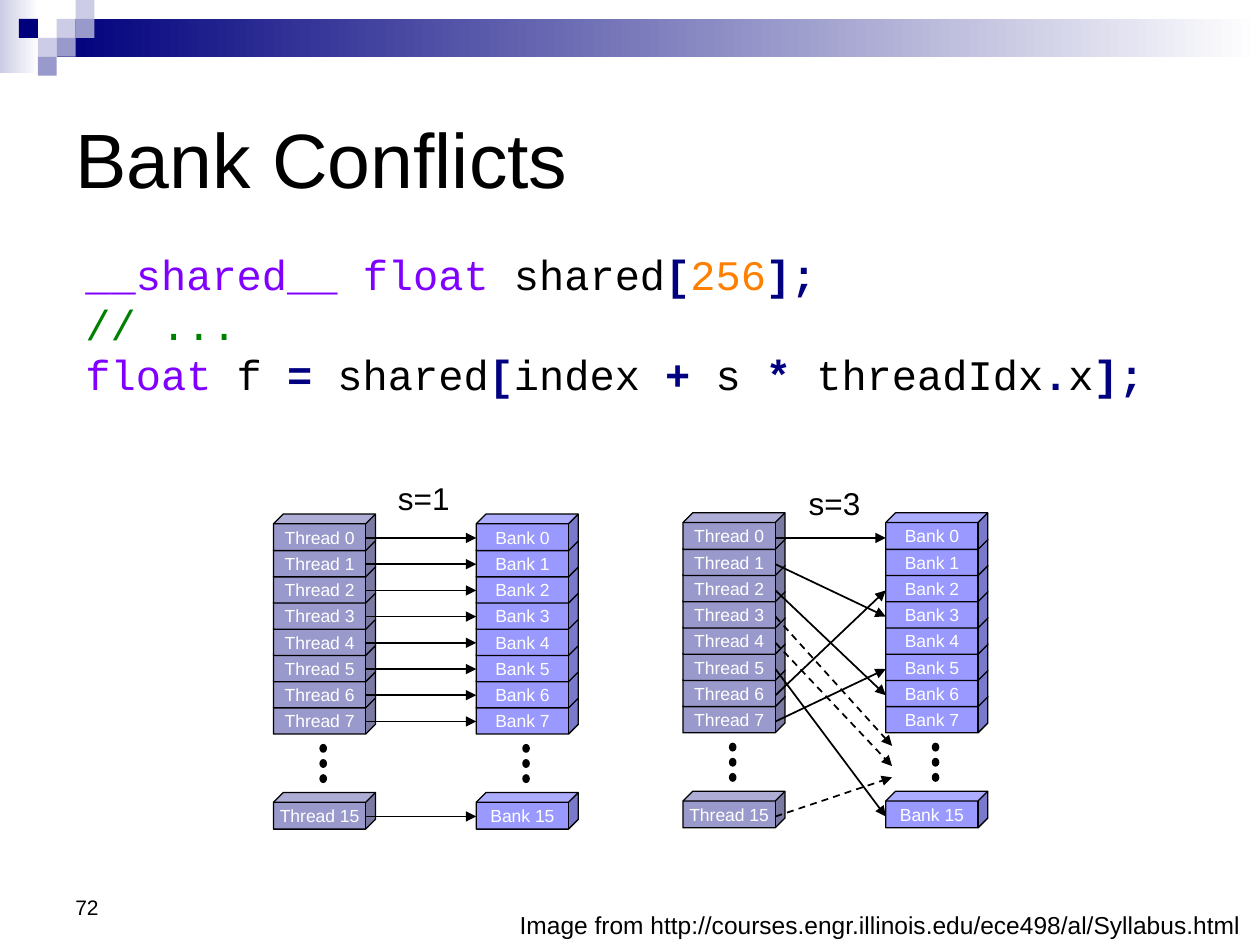
"""Build the Bank Conflicts slide with two thread-to-bank access diagrams."""
from dataclasses import dataclass
from typing import Optional

from lxml.etree import SubElement
from pptx import Presentation
from pptx.dml.color import RGBColor
from pptx.enum.dml import MSO_LINE
from pptx.enum.shapes import MSO_CONNECTOR, MSO_SHAPE
from pptx.enum.text import MSO_ANCHOR, MSO_AUTO_SIZE, PP_ALIGN
from pptx.oxml.ns import qn
from pptx.util import Inches, Pt

COLORS = {
    "black": "000000", "white": "FFFFFF", "navy": "00007D", "lilac": "CCCCE6",
    "thread": "9999CC", "bank": "9999FF", "keyword": "8000FF",
    "operator": "000080", "number": "FF8000", "comment": "008000",
}
CODE = [
    [("__shared__ float", "keyword"), (" shared", "black"), ("[", "operator"),
     ("256", "number"), ("];", "operator")],
    [("// ...", "comment")],
    [("float", "keyword"), (" f ", "black"), ("=", "operator"), (" shared", "black"),
     ("[", "operator"), ("index ", "black"), ("+", "operator"), (" s ", "black"),
     ("*", "operator"), (" threadIdx", "black"), (".", "operator"), ("x", "black"),
     ("];", "operator")],
]
BANKS = 16
ROWS = [*range(8), 15]
ROW_PITCH = 0.208
CUBE_WIDTH, CUBE_HEIGHT = 0.81, 0.29
BANK_OFFSET = 1.61
ARROW_OFFSET = 0.735
ARROW_TOP = 4.27
HIDDEN_BANKS = {9: 5.92, 12: 6.08, 13: 6.17}
CELL = 0.15


@dataclass
class Panel:
    stride: int
    left: float
    top: float
    label_left: float
    label_top: float


@dataclass
class Tile:
    column: int
    row: int
    color: str


PANELS = [Panel(1, 2.17, 4.08, 3.06, 3.75), Panel(3, 5.42, 4.07, 6.32, 3.79)]
TILES = [
    Tile(3, 1, "lilac"), Tile(4, 0, "lilac"), Tile(4, 1, "thread"),
    Tile(2, 2, "lilac"), Tile(1, 1, "navy"), Tile(3, 2, "thread"),
    Tile(2, 3, "thread"),
]

deck = Presentation()
deck.slide_width, deck.slide_height = Inches(10), Inches(7.5)
slide = deck.slides.add_slide(deck.slide_layouts[5])


def rgb(name: str) -> RGBColor:
    return RGBColor.from_string(COLORS[name])


def write(frame, lines: list, size: float, font: str = "Arial",
          align=PP_ALIGN.LEFT, anchor=MSO_ANCHOR.TOP, wrap: bool = True) -> None:
    frame.word_wrap = wrap
    frame.auto_size = MSO_AUTO_SIZE.NONE
    frame.vertical_anchor = anchor
    for index, line in enumerate(lines):
        paragraph = frame.add_paragraph() if index else frame.paragraphs[0]
        paragraph.alignment = align
        for words, color in line:
            run = paragraph.add_run()
            run.text = words
            run.font.name, run.font.size = font, Pt(size)
            run.font.bold = color == "operator"
            run.font.color.rgb = rgb(color)


def add_text(left: float, top: float, width: float, height: float,
             lines: list, size: float, **style) -> None:
    box = slide.shapes.add_textbox(*map(Inches, (left, top, width, height)))
    write(box.text_frame, lines, size, **style)


def add_block(kind, left: float, top: float, width: float, height: float,
              color: str, outlined: bool = False, fade: bool = False):
    block = slide.shapes.add_shape(kind, *map(Inches, (left, top, width, height)))
    block.shadow.inherit = False
    if fade:
        block.fill.gradient()
        block.fill.gradient_angle = 0
        for stop, name, place in zip(block.fill.gradient_stops, (color, "white"), (0, 1)):
            stop.color.rgb, stop.position = rgb(name), place
    else:
        block.fill.solid()
        block.fill.fore_color.rgb = rgb(color)
    if outlined:
        block.line.color.rgb, block.line.width = rgb("black"), Pt(0.75)
    else:
        block.line.fill.background()
    return block


def add_arrow(left: float, start: float, right: float, end: float, dashed: bool) -> None:
    arrow = slide.shapes.add_connector(
        MSO_CONNECTOR.STRAIGHT, *map(Inches, (left, start, right, end)))
    arrow.line.color.rgb, arrow.line.width = rgb("black"), Pt(1)
    if dashed:
        arrow.line.dash_style = MSO_LINE.DASH
    properties = arrow._element.spPr
    SubElement(properties.find(qn("a:ln")), qn("a:tailEnd"), type="triangle")
    SubElement(properties, qn("a:effectLst"))


def row_offset(row: int) -> float:
    return 2.21 if row == BANKS - 1 else row * ROW_PITCH


def add_stack(word: str, color: str, left: float, top: float) -> None:
    for row in reversed(ROWS):
        cube = add_block(MSO_SHAPE.CUBE, left, top + row_offset(row),
                         CUBE_WIDTH, CUBE_HEIGHT, color, outlined=True)
        cube.adjustments[0] = 0.266
        write(cube.text_frame, [[(f"{word} {row}", "white")]], 10,
              align=PP_ALIGN.CENTER, anchor=MSO_ANCHOR.MIDDLE, wrap=False)
    for dot in range(3):
        add_block(MSO_SHAPE.OVAL, left + 0.37, top + 1.83 + dot * 0.12,
                  0.05, 0.06, "black", outlined=True)


def add_panel(panel: Panel) -> None:
    bank_left = panel.left + BANK_OFFSET
    add_stack("Bank", "bank", bank_left, panel.top)
    add_stack("Thread", "thread", panel.left, panel.top)
    for thread in ROWS:
        bank = thread * panel.stride % BANKS
        hidden: Optional[float] = HIDDEN_BANKS.get(bank)
        end = hidden or ARROW_TOP + row_offset(bank)
        add_arrow(panel.left + ARROW_OFFSET, ARROW_TOP + row_offset(thread),
                  bank_left + (0.05 if hidden else 0), end, hidden is not None)
    add_text(panel.label_left, panel.label_top, 0.61, 0.4,
             [[(f"s={panel.stride}", "black")]], 18, wrap=False)


add_block(MSO_SHAPE.RECTANGLE, 0, 0, 0.31, 0.58, "lilac", fade=True)
add_block(MSO_SHAPE.RECTANGLE, 3 * CELL, CELL, 10 - 3 * CELL, 2 * CELL, "navy", fade=True)
for tile in TILES:
    add_block(MSO_SHAPE.RECTANGLE, tile.column * CELL, tile.row * CELL, CELL, CELL, tile.color)

title = slide.shapes.title
title.left, title.top, title.width, title.height = map(Inches, (0.5, 0.5, 9, 1.5))
write(title.text_frame, [[("Bank Conflicts", "black")]], 44, anchor=MSO_ANCHOR.MIDDLE)
add_text(0.58, 1.92, 9.42, 1.67, CODE, 24, font="Courier New")

for panel in PANELS:
    add_panel(panel)

SOURCE = "Image from http://courses.engr.illinois.edu/ece498/al/Syllabus.html "
add_text(0, 7.17, 10, 0.34, [[(SOURCE, "black")]], 14, align=PP_ALIGN.RIGHT)
add_text(0.5, 6.83, 2.33, 0.52, [[("72", "black")]], 12, anchor=MSO_ANCHOR.BOTTOM)
deck.save("out.pptx")
